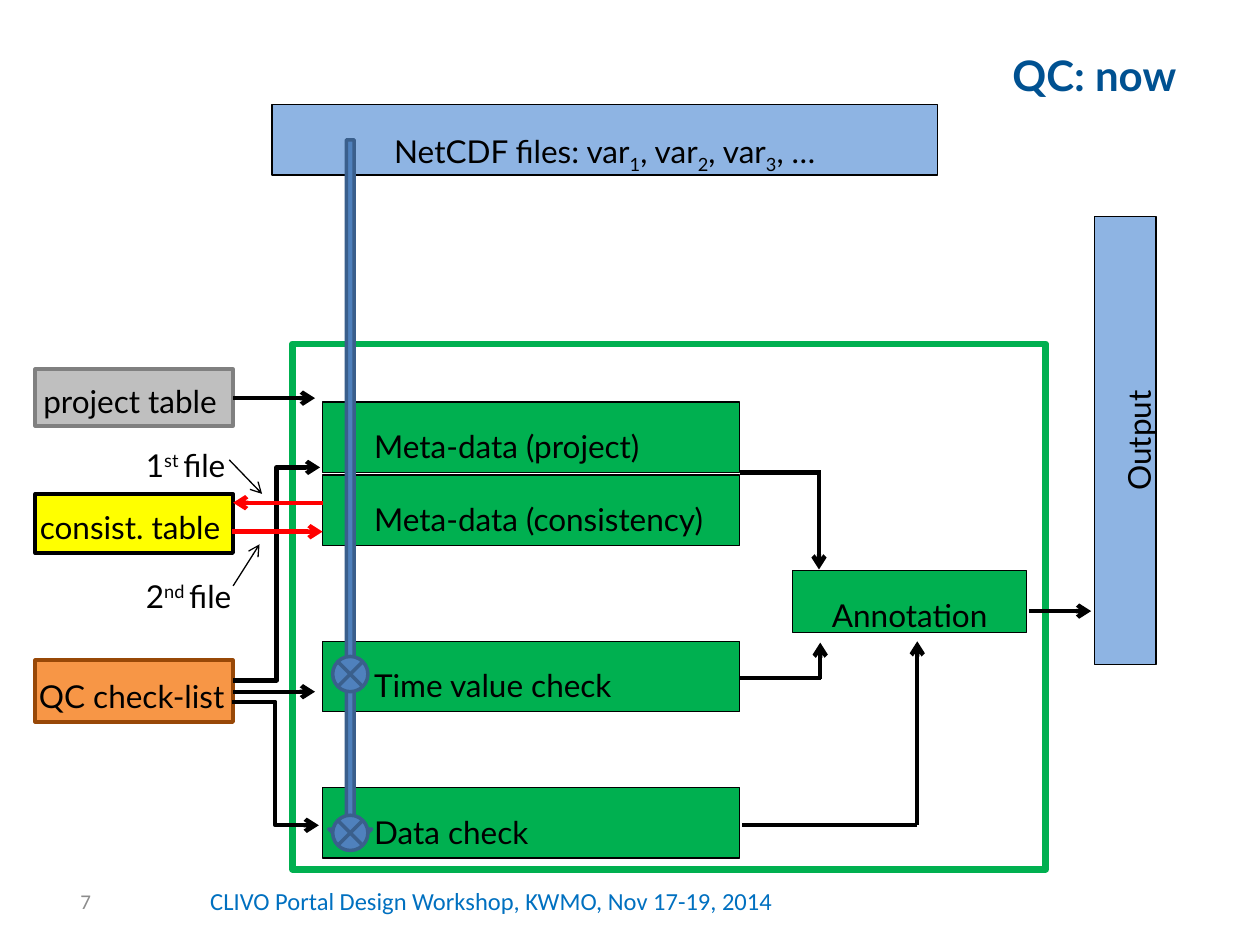
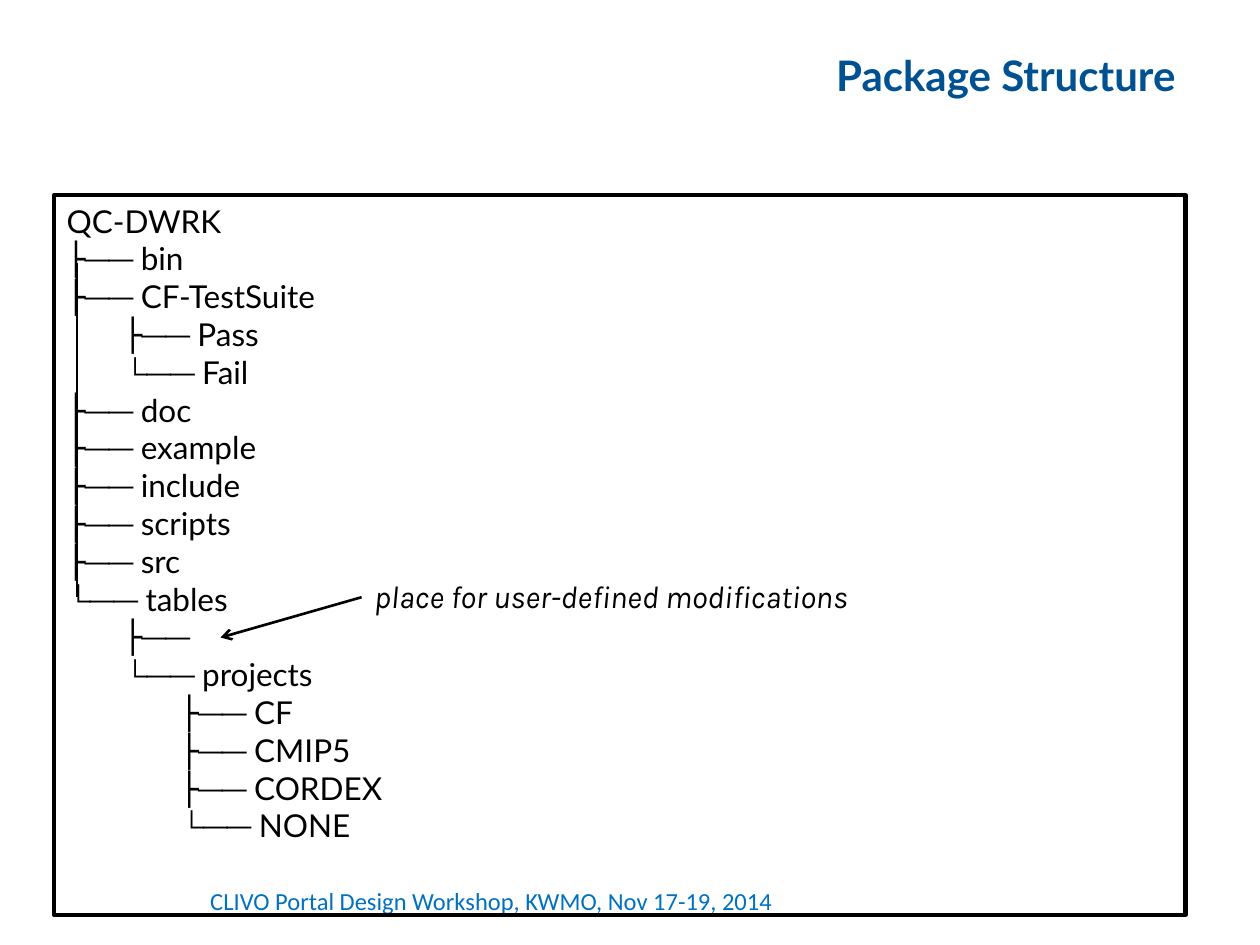
import pptx
import pptx.util
import pptx.dml.color
import pptx.enum.shapes
import pptx.enum.text
import pptx.oxml

Inches = pptx.util.Inches
Pt = pptx.util.Pt
SHAPE = pptx.enum.shapes.MSO_SHAPE
CONNECTOR = pptx.enum.shapes.MSO_CONNECTOR
ALIGN = pptx.enum.text.PP_ALIGN
ANCHOR = pptx.enum.text.MSO_ANCHOR

COLOURS = {
    "title": "005191", "footer": "0070C0", "number": "8C8C8C",
    "black": "000000", "red": "FF0000", "green": "00B050",
    "sky": "8EB4E3", "steel": "4F81BD", "navy": "3A5F8C",
    "silver": "BFBFBF", "grey": "808080", "yellow": "FFFF00",
    "orange": "F79646", "brown": "984807",
}
DRAWING = 'xmlns:a="http://schemas.openxmlformats.org/drawingml/2006/main"'
FOOTER = "CLIVO Portal Design Workshop, KWMO, Nov 17-19, 2014"
TREE_STEP = 0.45


def rgb(name):
    return pptx.dml.color.RGBColor.from_string(COLOURS[name])


def add_box(page, place, text="", kind=None, fill=None, line=None, width=0.75,
            colour="black", anchor=ANCHOR.TOP, paragraph=None, **font):
    """Add a shape, or a text box when no kind is given.

    Text is a string or a list of (string, baseline in percent) runs.
    """
    place = [Inches(value) for value in place]
    if kind is None:
        box = page.shapes.add_textbox(*place)
    else:
        box = page.shapes.add_shape(kind, *place)
        box.shadow.inherit = False
        if fill:
            box.fill.solid()
            box.fill.fore_color.rgb = rgb(fill)
        else:
            box.fill.background()
        box.line.color.rgb = rgb(line)
        box.line.width = Pt(width)
    box.text_frame.word_wrap = True
    box.text_frame.vertical_anchor = anchor
    para = box.text_frame.paragraphs[0]
    for name, value in (paragraph or {}).items():
        setattr(para, name, value)
    for words, baseline in [(text, 0)] if isinstance(text, str) else text:
        if not words:
            continue
        span = para.add_run()
        span.text = words
        span.font.color.rgb = rgb(colour)
        for name, value in ({"name": "Lato", "size": Pt(18)} | font).items():
            setattr(span.font, name, value)
        if baseline:
            span.font._element.set("baseline", str(baseline * 1000))
    return box


deck = pptx.Presentation()
deck.slide_width, deck.slide_height = Inches(10), Inches(7.5)

# Titles and footers
pages = []
for heading in ["QC: now ", "Package Structure "]:
    page = deck.slides.add_slide(deck.slide_layouts[5])
    title = page.shapes.title
    title.left, title.top = Inches(0.51), Inches(0.36)
    title.width, title.height = Inches(9), Inches(0.46)
    title.text_frame.text = heading
    title.text_frame.vertical_anchor = ANCHOR.MIDDLE
    para = title.text_frame.paragraphs[0]
    para.alignment = ALIGN.RIGHT
    span = para.runs[0]
    for name, value in {"name": "Lato", "size": Pt(24), "bold": True}.items():
        setattr(span.font, name, value)
    span.font.color.rgb = rgb("title")
    add_box(page, (1.57, 6.95, 5.91, 0.4), FOOTER, colour="footer",
            anchor=ANCHOR.MIDDLE, name="Calibri", size=Pt(14))
    pages.append(page)
flow, structure = pages

# Quality control flow
loose = {"line_spacing": 1.5, "alignment": ALIGN.LEFT}
centred = {"line_spacing": 1.5, "alignment": ALIGN.CENTER}
add_box(flow, (0.54, 6.95, 2.33, 0.4), "7", colour="number",
        anchor=ANCHOR.MIDDLE, name="Calibri", size=Pt(12))
add_box(flow, (2.32, 2.73, 5.98, 4.17), kind=SHAPE.RECTANGLE,
        line="green", width=3.75)

files = [("NetCDF files: var", 0), ("1", -25), (", var", 0), ("2", -25),
         (", var", 0), ("3", -25), (", …", 0)]
for place, text, fill in [
    ((2.16, 0.83, 5.28, 0.56), files, "sky"),
    ((6.29, 4.53, 1.86, 0.49), "Annotation", "green"),
]:
    add_box(flow, place, text, SHAPE.RECTANGLE, fill, "black", paragraph=centred)
output = add_box(flow, (7.15, 3.25, 3.56, 0.49), "Output", SHAPE.RECTANGLE,
                 "sky", "black", paragraph=centred)
output.rotation = 270

for top, text in [(3.19, "Meta-data (project)"), (3.77, "Meta-data (consistency)"),
                  (5.09, "Time value check"), (6.25, "Data check")]:
    check = add_box(flow, (2.56, top, 3.31, 0.56), text, SHAPE.RECTANGLE,
                    "green", "black", paragraph=loose)
    check.text_frame.margin_left = Inches(0.41)

for top, height, fill, line, label_place, text in [
    (2.93, 0.45, "silver", "grey", (0.2, 2.83, 1.73, 0.56), "project table "),
    (3.92, 0.47, "yellow", "black", (0.2, 3.83, 1.73, 0.49), "consist. table "),
    (5.24, 0.49, "orange", "brown", (0.09, 5.17, 1.91, 0.49), "QC check-list"),
]:
    add_box(flow, (0.28, top, 1.57, height), kind=SHAPE.RECTANGLE,
            fill=fill, line=line, width=2)
    add_box(flow, label_place, text, paragraph=centred)

for top, width, number, ending in [(3.34, 0.87, "1", "st "), (4.38, 0.94, "2", "nd ")]:
    add_box(flow, (1.06, top, width, 0.5),
            [(number, 0), (ending, 30), ("file", 0)], paragraph=loose)

data_arrow = add_box(flow, (2.61, 1.11, 0.34, 5.64), kind=SHAPE.DOWN_ARROW,
                     fill="steel", line="navy", width=2)
data_arrow.adjustments[0] = 0.18
data_arrow.adjustments[1] = 0.5
for top in (6.47, 5.21):
    add_box(flow, (2.64, top, 0.28, 0.28), kind=SHAPE.FLOWCHART_SUMMING_JUNCTION,
            fill="steel", line="navy", width=2)

# Package tree
tree = [
    (0, "QC-DWRK"), (0, "├── bin"), (0, "├── CF-TestSuite"),
    (1, "├── Pass"), (1, "└── Fail"), (0, "├── doc"), (0, "├── example"),
    (0, "├── include"), (0, "├── scripts"), (0, "├── src"), (0, "└── tables"),
    (1, "├──"), (1, "└── projects"), (2, "├── CF"), (2, "├── CMIP5"),
    (2, "├── CORDEX"), (2, "└── NONE"),
]
frame = add_box(structure, (0.43, 1.55, 8.98, 5.71), kind=SHAPE.RECTANGLE,
                line="black", width=2.5).text_frame
for index, (depth, text) in enumerate(tree):
    para = frame.add_paragraph() if index else frame.paragraphs[0]
    para.alignment = ALIGN.LEFT
    para._p.get_or_add_pPr().set("marL", str(Inches(depth * TREE_STEP)))
    span = para.add_run()
    span.text = text
    span.font.name, span.font.size = "Lato", Pt(18)
    span.font.color.rgb = rgb("black")
add_box(structure, (2.87, 4.38, 4.89, 0.56), "place for user-defined modifications",
        paragraph=loose, name="Karla", italic=True)

# Lines and arrows: page, kind, start and end, colour, width, has arrowhead
straight, bent = CONNECTOR.STRAIGHT, CONNECTOR.ELBOW
for page, kind, ends, colour, width, arrow in [
    (flow, bent, (1.85, 5.4, 2.54, 3.71), "black", 2.5, True),
    (flow, straight, (1.85, 5.49, 2.5, 5.49), "black", 2.5, True),
    (flow, bent, (1.84, 5.57, 2.53, 6.55), "black", 2.5, True),
    (flow, straight, (1.85, 3.16, 2.5, 3.16), "black", 2.5, True),
    (flow, straight, (2.56, 3.99, 1.85, 3.99), "red", 2.5, True),
    (flow, straight, (1.84, 4.22, 2.56, 4.22), "red", 2.5, True),
    (flow, straight, (5.89, 6.55, 7.28, 6.55), "black", 2.5, False),
    (flow, straight, (5.87, 5.38, 6.52, 5.38), "black", 2.5, False),
    (flow, straight, (5.87, 3.75, 6.52, 3.75), "black", 2.5, False),
    (flow, straight, (7.28, 6.55, 7.28, 5.09), "black", 2.5, True),
    (flow, straight, (6.51, 5.39, 6.51, 5.1), "black", 2.5, True),
    (flow, straight, (6.5, 3.77, 6.5, 4.52), "black", 2.5, True),
    (flow, straight, (8.17, 4.85, 8.66, 4.85), "black", 2.5, True),
    (flow, straight, (1.82, 3.65, 2.08, 3.92), "black", 0.75, True),
    (flow, straight, (1.85, 4.65, 2.06, 4.32), "black", 0.75, True),
    (structure, straight, (2.87, 4.74, 1.75, 5.06), "black", 1.5, True),
    (structure, straight, (0.61, 2.09, 0.61, 4.74), "black", 1.5, False),
]:
    connector = page.shapes.add_connector(kind, *[Inches(value) for value in ends])
    connector.line.color.rgb = rgb(colour)
    connector.line.width = Pt(width)
    if arrow:
        connector.line._get_or_add_ln().append(
            pptx.oxml.parse_xml(f'<a:tailEnd {DRAWING} type="arrow"/>'))
    connector._element.spPr.append(pptx.oxml.parse_xml(f"<a:effectLst {DRAWING}/>"))

deck.save("out.pptx")
